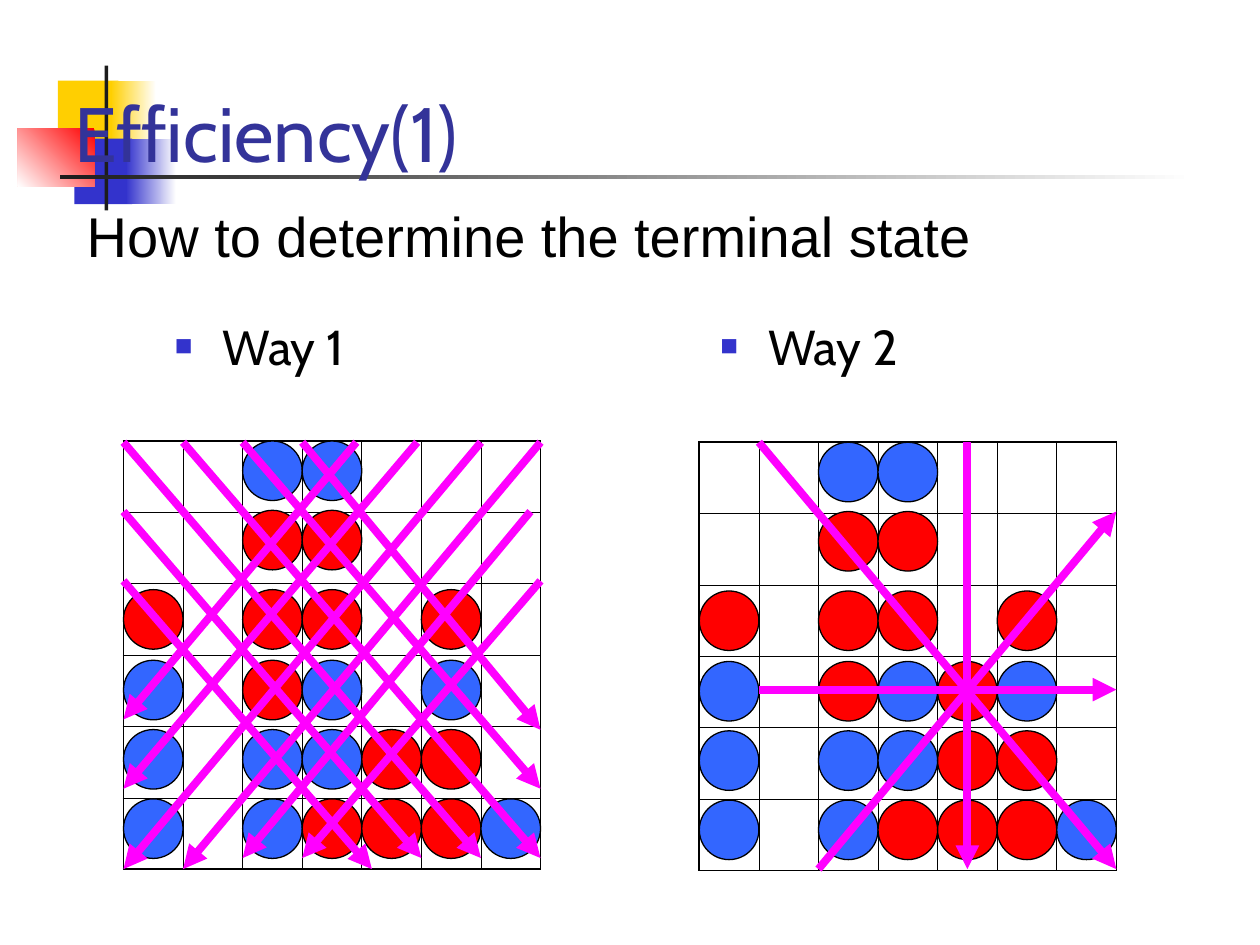
from dataclasses import dataclass
from typing import Optional

from lxml.etree import SubElement
from pptx import Presentation
from pptx.dml.color import RGBColor
from pptx.enum.shapes import MSO_CONNECTOR, MSO_SHAPE
from pptx.enum.text import MSO_ANCHOR, MSO_AUTO_SIZE, PP_ALIGN
from pptx.oxml.ns import qn
from pptx.util import Inches, Pt

HUES = {
    "gold": "FFCF01", "navy": "3333CC", "red": "FF0000", "white": "FFFFFF",
    "coal": "1C1C1C", "title": "333399", "black": "000000",
    "R": "FF0000", "B": "3366FF", "arrow": "FF00FF",
}
COLS, ROWS = 7, 6
WIDE, HIGH = 3.31, 3.4          # board size
CELL = WIDE / COLS
STEP = 0.55                     # one level of an arrow
DROPS = [0, 0.55, 1.18, 1.74, 2.29, 2.84]
END = 6.16                      # level of the lower board edge


@dataclass
class Block:
    left: float
    top: float
    width: float
    height: float
    hue: str
    fade: Optional[str] = None
    angle: int = 180


@dataclass
class Board:
    left: float
    top: float
    discs: list[str]
    rays: list[tuple[float, float, float, float]]  # col, level to col, level


BLOCKS = [
    Block(0.46, 0.64, 0.48, 0.52, "gold"),
    Block(0.88, 0.64, 0.36, 0.52, "white", "gold"),
    Block(0.59, 1.1, 0.46, 0.52, "navy"),
    Block(1, 1.1, 0.4, 0.52, "white", "navy"),
    Block(0.14, 1.02, 0.61, 0.46, "red", "white", 225),
    Block(0.83, 0.52, 0.03, 1.15, "coal"),
    Block(0.48, 1.39, 9, 0.03, "white", "coal"),
]
DISCS = ["..BB...", "..RR...", "R.RR.R.", "B.RB.B.", "B.BBRR.", "B.BRRRB"]
BOARDS = [
    Board(0.98, 3.5, DISCS, [
        (0, 2, 4.17, END), (0, 1, 5, 6), (0, 0, 6, 6),
        (1, 0, 7, 6), (2, 0, 7, 5), (3, 0, 7, 4.15),
        (7, 0, 1, END), (6.83, 1, 2, 6), (7, 2, 3, 6),
        (6, 0, 0, END), (4.93, 0, 0, 5), (3.91, 0, 0, 4),
    ]),
    Board(5.55, 3.51, DISCS[:3] + ["B.RBRB."] + DISCS[4:], [
        (4.5, 0, 4.5, END), (1, 3.57, 7, 3.57),
        (1, 0, 7, END), (2, END, 7, 1),
    ]),
]


def tint(name: str) -> RGBColor:
    return RGBColor.from_string(HUES[name])


def draw_block(shapes, block: Block) -> None:
    box = shapes.add_shape(MSO_SHAPE.RECTANGLE, Inches(block.left), Inches(block.top),
                           Inches(block.width), Inches(block.height))
    box.shadow.inherit = False
    box.line.fill.background()
    if block.fade is None:
        box.fill.solid()
        box.fill.fore_color.rgb = tint(block.hue)
        return
    box.fill.gradient()
    box.fill.gradient_angle = block.angle
    for stop, place, name in zip(box.fill.gradient_stops, (0, 1), (block.hue, block.fade)):
        stop.position = place
        stop.color.rgb = tint(name)


def write(frame, text: str, size: int, font: str, hue: str, gap: float = 0):
    frame.word_wrap = True
    para = frame.paragraphs[0]
    para.alignment = PP_ALIGN.LEFT
    para.space_before = Pt(gap)
    run = para.add_run()
    run.text = text
    run.font.size = Pt(size)
    run.font.name = font
    run.font.color.rgb = tint(hue)
    return para


def add_text(shapes, area: tuple, *style):
    box = shapes.add_textbox(*map(Inches, area))
    return write(box.text_frame, *style)


def add_bullet(para) -> None:
    props = para._p.get_or_add_pPr()
    props.set("marL", str(Inches(0.38)))
    props.set("indent", str(-Inches(0.38)))
    SubElement(SubElement(props, qn("a:buClr")), qn("a:srgbClr"), val=HUES["navy"])
    SubElement(props, qn("a:buSzPct"), val="60000")
    SubElement(props, qn("a:buFont"), typeface="Arial")
    SubElement(props, qn("a:buChar"), char="■")


def edge_cell(cell, row: int, col: int) -> None:
    """Rule a cell, with a heavier line along the rim of the board."""
    props = cell._tc.get_or_add_tcPr()
    rims = {"lnL": col == 0, "lnR": col == COLS - 1,
            "lnT": row == 0, "lnB": row == ROWS - 1}
    for tag, rim in rims.items():
        line = SubElement(props, qn(f"a:{tag}"), w=str(Pt(1.08 if rim else 0.45)))
        fill = SubElement(line, qn("a:solidFill"))
        SubElement(fill, qn("a:srgbClr"), val=HUES["black"])
    cell.fill.background()


def draw_grid(shapes, board: Board) -> None:
    table = shapes.add_table(ROWS, COLS, Inches(board.left), Inches(board.top),
                             Inches(WIDE), Inches(HIGH)).table
    table.first_row = table.horz_banding = False
    for row in range(ROWS):
        for col in range(COLS):
            edge_cell(table.cell(row, col), row, col)


def draw_disc(shapes, left: float, top: float, hue: str) -> None:
    disc = shapes.add_shape(MSO_SHAPE.OVAL, Inches(left), Inches(top),
                            Inches(CELL), Inches(CELL))
    disc.shadow.inherit = False
    disc.fill.solid()
    disc.fill.fore_color.rgb = tint(hue)
    disc.line.color.rgb = tint("black")
    disc.line.width = Pt(0.75)


def draw_ray(shapes, board: Board, ray: tuple) -> None:
    ends = [Inches(board.left + CELL * n) if i % 2 == 0 else Inches(3.51 + STEP * n)
            for i, n in enumerate(ray)]
    link = shapes.add_connector(MSO_CONNECTOR.STRAIGHT, *ends)
    link.line.color.rgb = tint("arrow")
    link.line.width = Pt(4.5)
    props = link.element.spPr
    SubElement(props.find(qn("a:ln")), qn("a:tailEnd"), type="triangle")
    SubElement(props, qn("a:effectLst"))


def draw_board(shapes, board: Board) -> None:
    draw_grid(shapes, board)
    for drop, line in zip(DROPS, board.discs):
        for col, mark in enumerate(line):
            if mark != ".":
                draw_disc(shapes, board.left + CELL * col, board.top + drop, mark)
    for ray in board.rays:
        draw_ray(shapes, board, ray)


def main() -> None:
    deck = Presentation()
    deck.slide_width, deck.slide_height = Inches(10), Inches(7.5)
    slide = deck.slides.add_slide(deck.slide_layouts[5])
    shapes = slide.shapes
    for block in BLOCKS:
        draw_block(shapes, block)

    title = shapes.title
    title.element.getparent().append(title.element)  # in front of the blocks
    title.left, title.top, title.width, title.height = map(Inches, (0.49, 0.21, 9, 1.25))
    title.text_frame.vertical_anchor = MSO_ANCHOR.BOTTOM
    title.text_frame.auto_size = MSO_AUTO_SIZE.NONE
    write(title.text_frame, "Efficiency(1)", 44, "Cabin", "title")

    for left, text in ((1.29, "Way 1"), (5.62, "Way 2")):
        add_bullet(add_text(shapes, (left, 2.46, 4.17, 4.24), text, 28, "Cabin", "black", 7))
    add_text(shapes, (0.59, 1.55, 7.24, 0.64),
             "How to determine the terminal state", 32, "Arial", "black", 20)
    for board in BOARDS:
        draw_board(shapes, board)
    deck.save("out.pptx")


if __name__ == "__main__":
    main()
